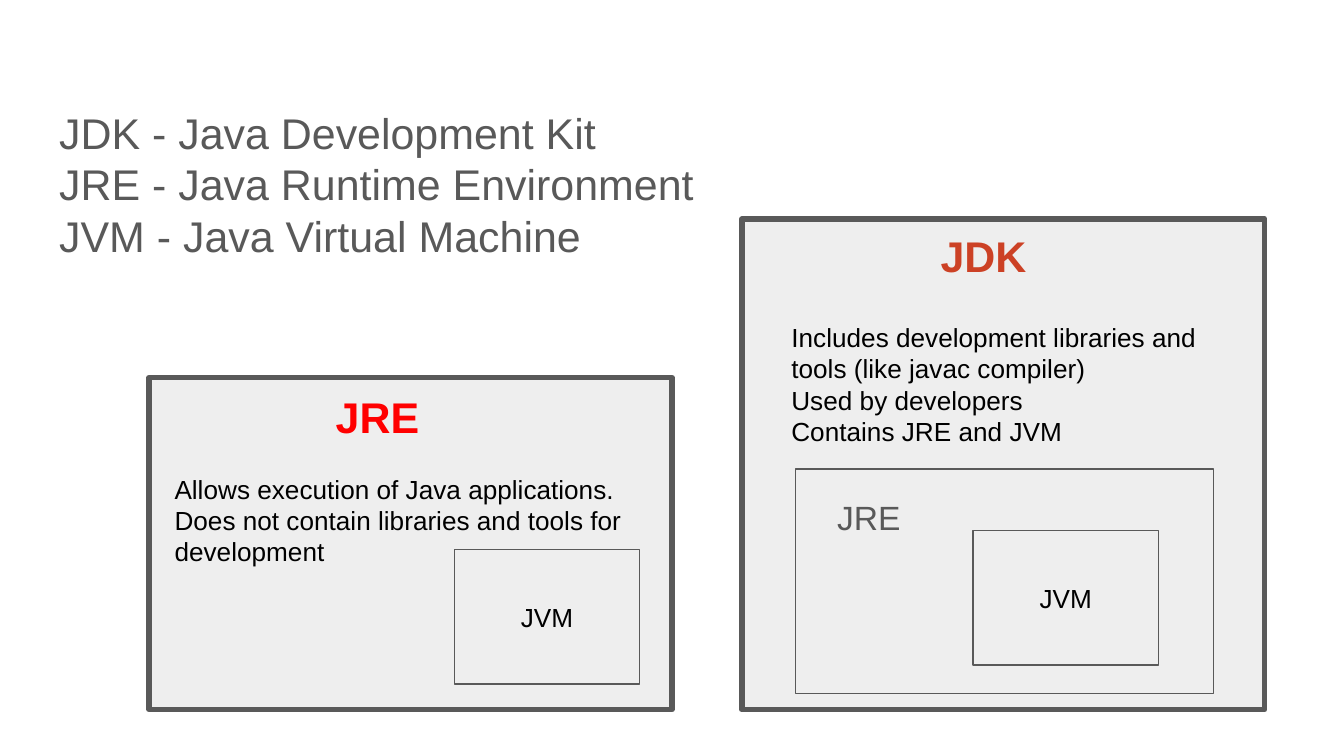
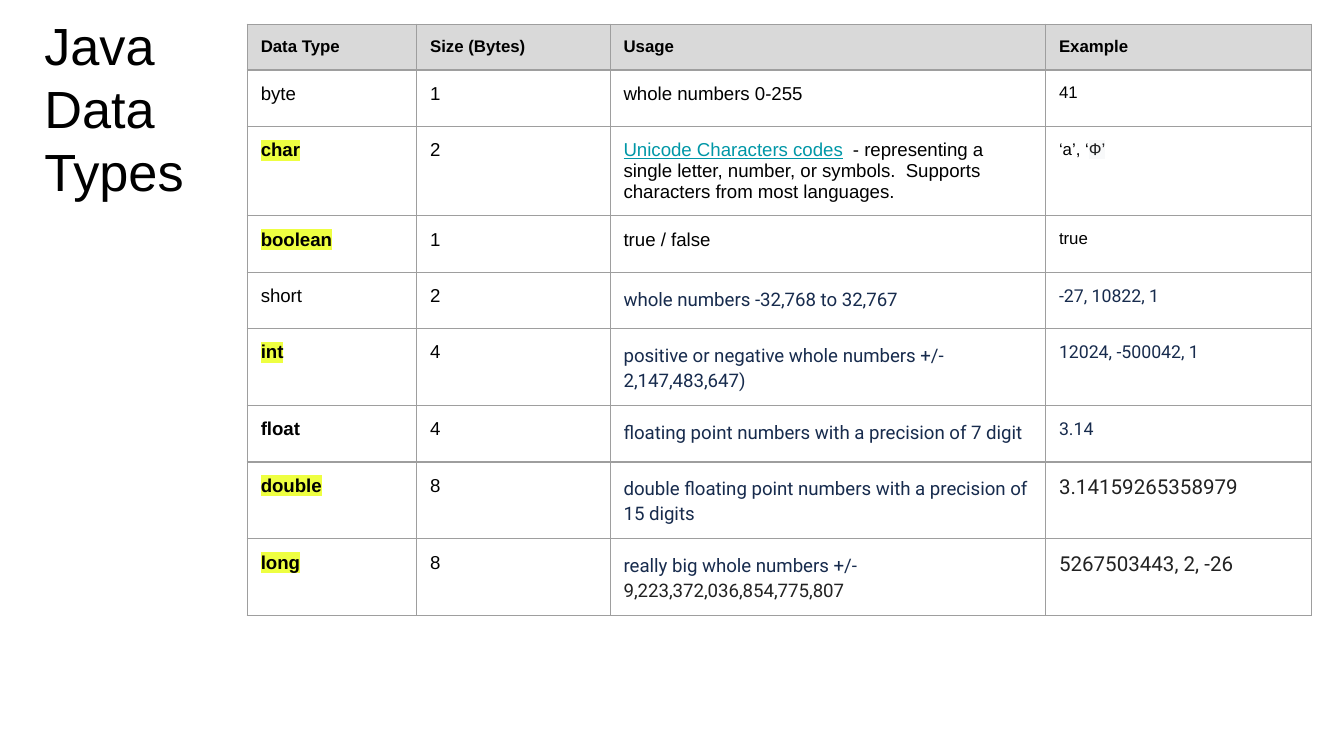
from copy import deepcopy

from lxml import etree
from pptx import Presentation
from pptx.dml.color import RGBColor
from pptx.enum import shapes, text
from pptx.oxml import ns
from pptx.util import Emu, Pt

PX = 9144
PAGE_WIDTH = 1000
INSET = 10
TITLE_ONLY = 5

COLORS = {
    "black": "000000", "gray": "595959", "panel": "EEEEEE", "rust": "CC4125",
    "red": "FF0000", "link": "0097A7", "navy": "172B4D", "ink": "222222",
    "wiki": "202122", "pale": "F8F9FA", "yellow": "EEFF41",
    "header": "D9D9D9", "border": "9E9E9E",
}

BASE = {"name": "Arial", "size": 10, "color": "black"}
STYLES = {
    "terms": {"size": 23, "color": "gray"},
    "title": {"size": 28},
    "jdk": {"size": 23, "color": "rust", "bold": True},
    "jre": {"size": 23, "color": "red", "bold": True},
    "inner": {"size": 18, "color": "gray"},
    "body": {"size": 14},
    "head": {"size": 9, "bold": True},
    "plain": {},
    "bold": {"bold": True},
    "marked": {"bold": True, "highlight": "yellow"},
    "link": {"color": "link", "underline": True},
    "small": {"size": 9},
    "symbol": {"size": 9, "color": "wiki", "highlight": "pale"},
    "range": {"name": "Roboto", "color": "navy"},
    "range_ink": {"name": "Roboto", "color": "ink"},
    "sample": {"name": "Roboto", "size": 9.5, "color": "navy"},
    "sample_ink": {"name": "Roboto", "size": 11, "color": "ink"},
}

TERMS = ("JDK - Java Development Kit\nJRE - Java Runtime Environment\n"
         "JVM - Java Virtual Machine")
TERMS_AT = (34, 69, 906, 58)
PANELS = [(552, 163, 389, 365), (111, 281, 389, 247)]
LABELS = [
    ((690, 161, 93, 36), "jdk", ["JDK"]),
    ((240, 281, 93, 36), "jre", ["JRE"]),
    ((120, 342, 361, 167), "body", [
        "Allows execution of Java applications.",
        "Does not contain libraries and tools for development",
    ]),
    ((579, 229, 337, 233), "body", [
        "Includes development libraries and tools (like javac compiler)",
        "Used by developers\nContains JRE and JVM",
    ]),
]
JRE_BOX = (592, 349, 311, 167)
JRE_LABEL = ((613, 360, 93, 29), "inner", ["JRE"])
JVM_CORNERS = [(724, 395), (338, 409)]
JVM_SIZE = (138, 100)

TYPES_TITLE = "Java Data Types"
TYPES_TITLE_AT = (23, 0, 151, 177)
TABLE_CORNER = (184, 18)
COLUMNS = [126, 144, 324, 198]
HEADER_HEIGHT, ROW_HEIGHT = 26, 42
HEADINGS = ["Data Type", "Size (Bytes)", "Usage", "Example"]
DATA_TYPES = [
    (("byte", "plain"), "1", [("whole numbers 0-255", "plain")], [("41", "small")]),
    (("char", "marked"), "2", [
        ("Unicode Characters codes", "link"),
        ("  - representing a single letter, number, or symbols.  "
         "Supports characters from most languages.", "plain"),
    ], [("‘a’, ‘", "small"), ("Ф’", "symbol")]),
    (("boolean", "marked"), "1", [("true / false", "plain")], [("true", "small")]),
    (("short", "plain"), "2", [("whole numbers -32,768 to 32,767", "range")],
     [("-27, 10822, 1", "sample")]),
    (("int", "marked"), "4",
     [("positive or negative whole numbers +/- 2,147,483,647)", "range")],
     [("12024, -500042, 1", "sample")]),
    (("float", "bold"), "4",
     [("floating point numbers with a precision of 7 digit", "range")],
     [("3.14", "sample")]),
    (("double", "marked"), "8",
     [("double floating point numbers with a precision of 15 digits", "range")],
     [("3.14159265358979", "sample_ink")]),
    (("long", "marked"), "8", [
        ("really big whole numbers +/- ", "range"),
        ("9,223,372,036,854,775,807", "range_ink"),
    ], [("5267503443, 2, -26", "sample_ink")]),
]


def px(*lengths):
    return [Emu(length * PX) for length in lengths]


def rgb(name):
    return RGBColor.from_string(COLORS[name])


def set_values(target, values):
    for name, value in values.items():
        setattr(target, name, value)


def style_span(span, style):
    values = {**BASE, **STYLES[style]}
    color = values.pop("color")
    highlight = values.pop("highlight", None)
    values["size"] = Pt(values["size"])
    set_values(span.font, {"bold": False, **values})
    span.font.color.rgb = rgb(color)
    if highlight:
        mark = etree.Element(ns.qn("a:highlight"))
        etree.SubElement(mark, ns.qn("a:srgbClr"), val=COLORS[highlight])
        span._r.rPr.find(ns.qn("a:solidFill")).addnext(mark)


def write_para(para, spans, **layout):
    set_values(para, layout)
    for words, style in spans:
        for index, line in enumerate(words.split("\n")):
            if index:
                para.add_line_break()
            span = para.add_run()
            span.text = line
            style_span(span, style)
            if index:
                span._r.getprevious().append(deepcopy(span._r.rPr))


def write_frame(shape, style, lines, anchor=text.MSO_ANCHOR.TOP,
                alignment=text.PP_ALIGN.LEFT):
    frame = shape.text_frame
    inset = px(INSET)[0]
    set_values(frame, {
        "word_wrap": True, "auto_size": text.MSO_AUTO_SIZE.NONE,
        "vertical_anchor": anchor, "margin_left": inset, "margin_top": inset,
        "margin_right": inset, "margin_bottom": inset,
    })
    for index, line in enumerate(lines):
        para = frame.add_paragraph() if index else frame.paragraphs[0]
        write_para(para, [(line, style)], alignment=alignment,
                   line_spacing=1.0, space_before=Pt(0))


def add_page(deck, title, place, style):
    page = deck.slides.add_slide(deck.slide_layouts[TITLE_ONLY])
    heading = page.shapes.title
    set_values(heading, dict(zip(("left", "top", "width", "height"), px(*place))))
    write_frame(heading, style, [title])
    return page


def add_label(page, place, style, lines):
    write_frame(page.shapes.add_textbox(*px(*place)), style, lines)


def add_box(page, place, weight):
    box = page.shapes.add_shape(shapes.MSO_SHAPE.RECTANGLE, *px(*place))
    box.shadow.inherit = False
    box.fill.solid()
    box.fill.fore_color.rgb = rgb("panel")
    box.line.color.rgb = rgb("gray")
    box.line.width = Pt(weight)
    return box


def build_kits(deck):
    page = add_page(deck, TERMS, TERMS_AT, "terms")
    for place in PANELS:
        add_box(page, place, 3)
    for label in LABELS:
        add_label(page, *label)
    add_box(page, JRE_BOX, 0.75)
    add_label(page, *JRE_LABEL)
    for corner in JVM_CORNERS:
        machine = add_box(page, corner + JVM_SIZE, 0.75)
        write_frame(machine, "body", ["JVM"], text.MSO_ANCHOR.MIDDLE,
                    text.PP_ALIGN.CENTER)


def add_borders(cell):
    properties = cell._tc.get_or_add_tcPr()
    for index, side in enumerate(("lnL", "lnR", "lnT", "lnB")):
        line = etree.Element(ns.qn(f"a:{side}"), w=str(Pt(0.75)))
        fill = etree.SubElement(line, ns.qn("a:solidFill"))
        etree.SubElement(fill, ns.qn("a:srgbClr"), val=COLORS["border"])
        properties.insert(index, line)


def fill_cell(cell, spans, is_header):
    inset = px(INSET)[0]
    set_values(cell, {f"margin_{side}": inset
                      for side in ("left", "right", "top", "bottom")})
    if is_header:
        cell.fill.solid()
        cell.fill.fore_color.rgb = rgb("header")
    else:
        cell.fill.background()
    add_borders(cell)
    is_range = spans[0][1] == "range"
    layout = {"line_spacing": 1.15, "space_before": Pt(8)} if is_range else {}
    write_para(cell.text_frame.paragraphs[0], spans, **layout)


def build_types(deck):
    page = add_page(deck, TYPES_TITLE, TYPES_TITLE_AT, "title")
    rows = [[[(heading, "head")] for heading in HEADINGS]]
    rows += [[[name], [(size, "plain")], usage, example]
             for name, size, usage, example in DATA_TYPES]
    heights = [HEADER_HEIGHT] + [ROW_HEIGHT] * len(DATA_TYPES)
    table = page.shapes.add_table(
        len(rows), len(COLUMNS),
        *px(*TABLE_CORNER, sum(COLUMNS), sum(heights))).table
    set_values(table, {"first_row": False, "horz_banding": False})
    for column, width in zip(table.columns, px(*COLUMNS)):
        column.width = width
    for row, height in zip(table.rows, px(*heights)):
        row.height = height
    for row_index, row in enumerate(rows):
        for column_index, spans in enumerate(row):
            fill_cell(table.cell(row_index, column_index), spans, row_index == 0)


def main():
    deck = Presentation()
    deck.slide_width = px(PAGE_WIDTH)[0]
    deck.slide_height = deck.slide_width * 9 // 16
    build_kits(deck)
    build_types(deck)
    deck.save("out.pptx")


if __name__ == "__main__":
    main()
